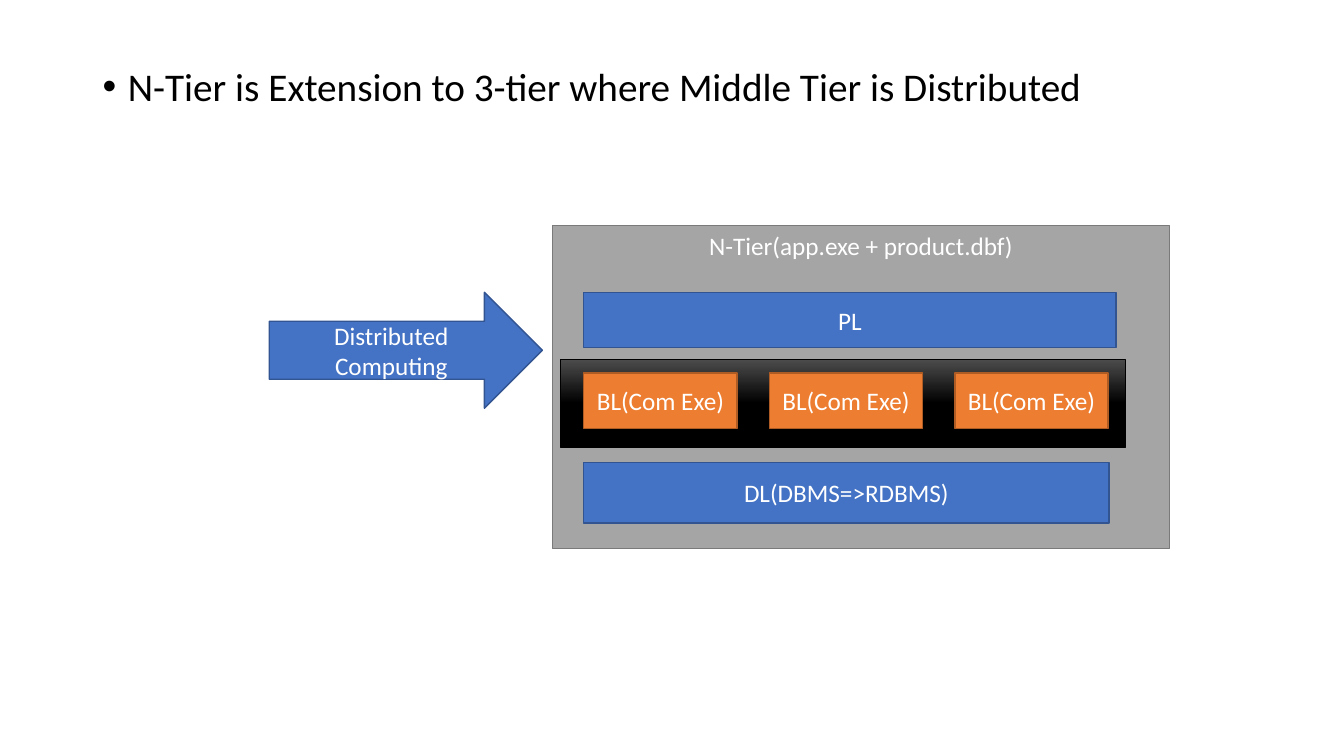
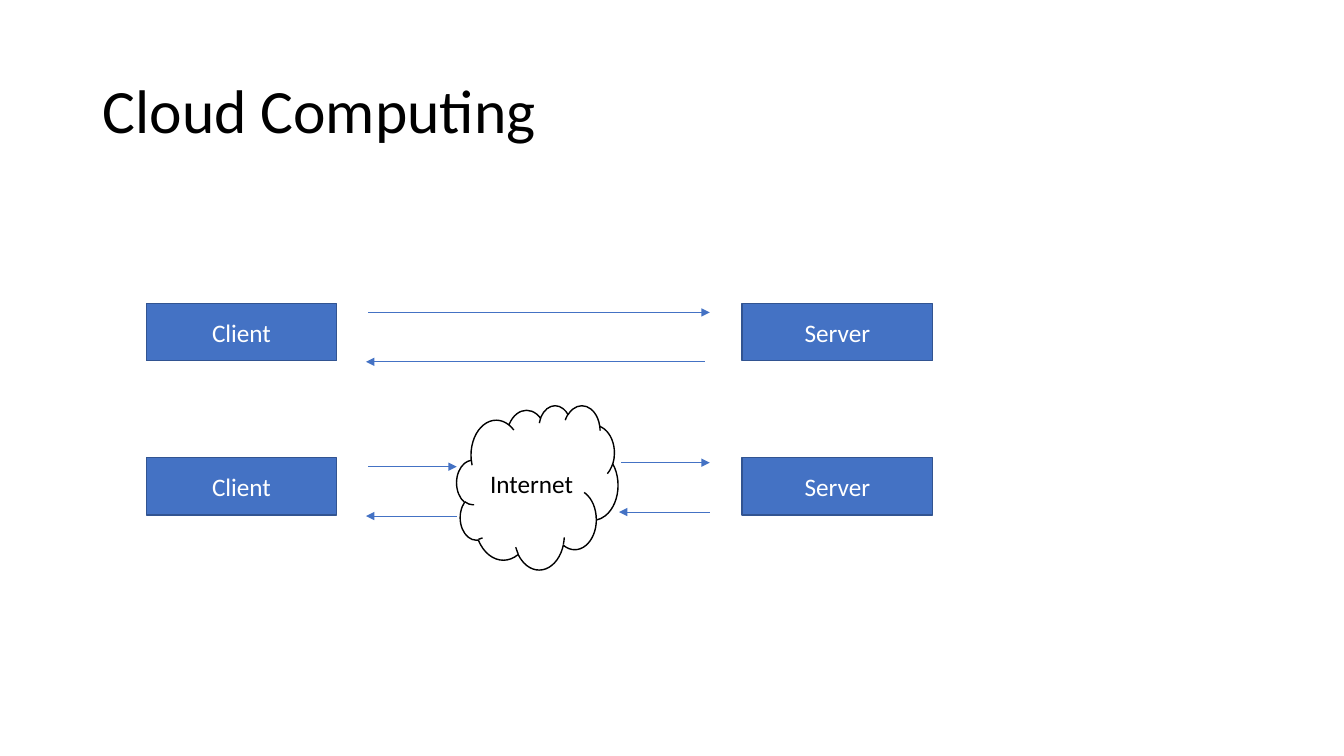
from lxml import etree
from pptx import Presentation
from pptx.dml.color import RGBColor
from pptx.enum import shapes, text
from pptx.oxml import ns
from pptx.util import Inches, Pt

BLUE, DARK_BLUE = "4472C4", "325491"
ORANGE, DARK_ORANGE = "ED7D31", "AF5C24"
GRAY, DARK_GRAY = "A5A5A5", "7A7A7A"
BLACK, WHITE = "000000", "FFFFFF"
MIDDLE, TOP = text.MSO_ANCHOR.MIDDLE, text.MSO_ANCHOR.TOP
CENTER, LEFT = text.PP_ALIGN.CENTER, text.PP_ALIGN.LEFT
KIND = shapes.MSO_SHAPE


def write(frame, words, size=18, color=WHITE, anchor=MIDDLE, align=CENTER):
    """Fill a text frame with one paragraph and return that paragraph."""
    frame.word_wrap = True
    frame.vertical_anchor = anchor
    paragraph = frame.paragraphs[0]
    paragraph.alignment = align
    run = paragraph.add_run()
    run.text = words
    run.font.name = "Calibri"
    run.font.size = Pt(size)
    run.font.color.rgb = RGBColor.from_string(color)
    return paragraph


def add_box(slide, place, words="", fill=BLUE, line=DARK_BLUE, kind=KIND.RECTANGLE,
            line_width=1, **text_format):
    box = slide.shapes.add_shape(kind, *map(Inches, place))
    box.shadow.inherit = False
    box.fill.solid()
    box.fill.fore_color.rgb = RGBColor.from_string(fill)
    box.line.color.rgb = RGBColor.from_string(line)
    box.line.width = Pt(line_width)
    if words:
        write(box.text_frame, words, **text_format)
    return box


deck = Presentation()
deck.slide_width, deck.slide_height = Inches(13.33), Inches(7.5)
blank = deck.slide_layouts[6]

# N-tier architecture
tiers = deck.slides.add_slide(blank)
add_box(tiers, (5.48, 2.24, 6.12, 3.2), "N-Tier(app.exe + product.dbf)",
        GRAY, DARK_GRAY, anchor=TOP)

middle_tier = add_box(tiers, (5.56, 3.57, 5.6, 0.87), line=BLACK, line_width=0.5)
middle_tier.fill.gradient()
middle_tier.fill.gradient_angle = 270
for stop, color, position in zip(middle_tier.fill.gradient_stops, ("4B4B4B", BLACK), (0, 0.5)):
    stop.color.rgb = RGBColor.from_string(color)
    stop.position = position

statement = tiers.shapes.add_textbox(*map(Inches, (0.92, 0.62, 11.5, 6.13)))
bullet = write(statement.text_frame,
               "N-Tier is Extension to 3-tier where Middle Tier is Distributed",
               28, BLACK, TOP, LEFT)
bullet.line_spacing = 0.9
bullet.space_before = Pt(10)
bullet_format = bullet._p.get_or_add_pPr()
bullet_format.set("marL", str(Inches(0.25)))
bullet_format.set("indent", str(Inches(-0.25)))
etree.SubElement(bullet_format, ns.qn("a:buFont"), typeface="Arial")
etree.SubElement(bullet_format, ns.qn("a:buChar"), char="•")

add_box(tiers, (5.79, 2.9, 5.28, 0.55), "PL")
add_box(tiers, (5.79, 4.59, 5.21, 0.6), "DL(DBMS=>RDBMS)")
add_box(tiers, (2.67, 2.9, 2.71, 1.15), "Distributed Computing", kind=KIND.RIGHT_ARROW)
for column in range(3):
    add_box(tiers, (5.79 + 1.84 * column, 3.7, 1.52, 0.55), "BL(Com Exe)",
            ORANGE, DARK_ORANGE)

# Cloud computing
cloud = deck.slides.add_slide(blank)
title = cloud.shapes.add_textbox(*map(Inches, (0.92, 0.4, 11.5, 1.45)))
write(title.text_frame, "Cloud Computing", 44, BLACK, align=LEFT).line_spacing = 0.9

for row_top in (3.01, 4.54):
    for left, role in ((1.45, "Client"), (7.36, "Server")):
        add_box(cloud, (left, row_top, 1.89, 0.57), role)

# Each link: request start and end, reply start and end, height of the request
links = (
    (3.65, 7.04, 6.99, 3.63, 3.1),
    (3.65, 4.53, 4.53, 3.63, 4.63),
    (6.16, 7.04, 7.04, 6.14, 4.59),
)
for request_start, request_end, reply_start, reply_end, top in links:
    for start, end, y in ((request_start, request_end, top),
                          (reply_start, reply_end, top + 0.49)):
        arrow = cloud.shapes.add_connector(
            shapes.MSO_CONNECTOR.STRAIGHT, *map(Inches, (start, y, end, y)))
        arrow.line.color.rgb = RGBColor.from_string(BLUE)
        arrow.line.width = Pt(0.5)
        etree.SubElement(arrow.line._get_or_add_ln(), ns.qn("a:tailEnd"), type="triangle")
        etree.SubElement(arrow._element.spPr, ns.qn("a:effectLst"))

add_box(cloud, (4.53, 4.02, 1.6, 1.63), "Internet", WHITE, BLACK, KIND.CLOUD, color=BLACK)

deck.save("out.pptx")
